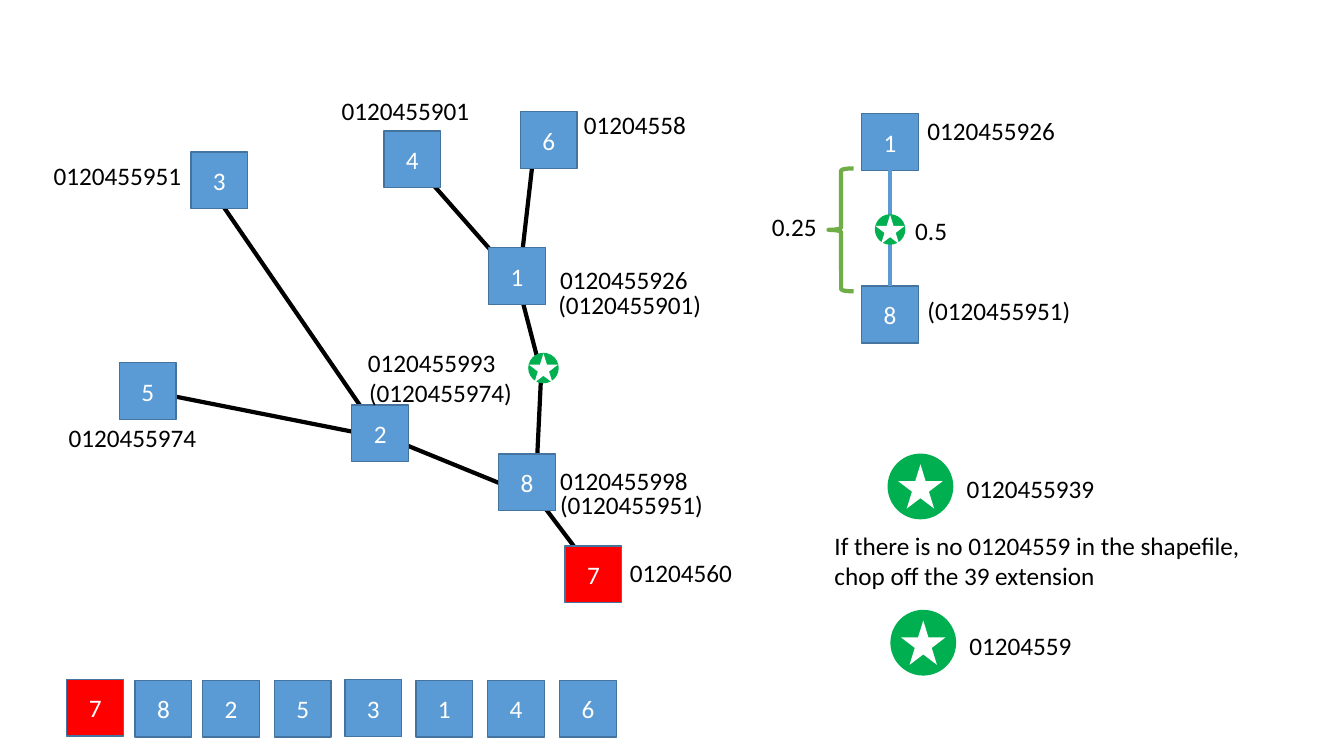
from lxml.etree import SubElement as Sub
from pptx import Presentation as Deck
from pptx.dml.color import RGBColor as Color
from pptx.enum.shapes import MSO_CONNECTOR as Link, MSO_SHAPE as Kind
from pptx.enum.text import MSO_ANCHOR as Anchor, PP_ALIGN as Align
from pptx.oxml.ns import qn
from pptx.util import Pt

BLUE = Color(0x5B, 0x9B, 0xD5)
EDGE = Color(0x43, 0x73, 0x9E)
RED = Color(0xFF, 0x00, 0x00)
GREEN = Color(0x00, 0xB0, 0x50)
OLIVE = Color(0x70, 0xAD, 0x47)
BLACK = Color(0, 0, 0)
WHITE = Color(0xFF, 0xFF, 0xFF)

SIDE = 40.5   # side of a numbered square
DOT = 21.8    # small star badge
BADGE = 47    # large star badge

# Branches of the river network
PATHS = [
    [(156.2, 142.6), (271.4, 310.3), (384.5, 356.4), (413.3, 394.6)],
    [(105.8, 279.4), (269.3, 311.8)],
    [(296.6, 117.4), (369.4, 200.2), (386.6, 266.4), (382.3, 356.4)],
    [(370.8, 200.2), (382.3, 100.1)],
]
NODES = [
    ("3", 136.4, 108.5), ("5", 85.3, 259), ("2", 251.3, 289.2),
    ("1", 349, 177), ("4", 274.2, 93.5), ("6", 371.7, 79.7),
    ("8", 356.2, 324.2), ("7", 403.6, 390),
]
# Order of the nodes along the bottom
ORDER = [
    ("7", 47.7, 485.2), ("8", 96.5, 486), ("2", 144.7, 486),
    ("5", 196, 486), ("3", 246.4, 485.5), ("1", 297, 486),
    ("4", 348.3, 486), ("6", 399.7, 486),
]
CODES = [
    ("01204560", 442.8, 394.8), ("(0120455974)", 256.5, 266.2),
    ("0120455998", 393, 329), ("0120455974", 42, 298.3),
    ("0120455951", 31.3, 111), ("0120455926", 393, 185.5),
    ("0120455901", 237, 64.4), ("01204558", 410, 74.6),
    ("0120455993", 255.6, 244.8), ("(0120455951)", 393, 345.8),
    ("(0120455901)", 391.7, 203), ("(0120455951)", 655.4, 207.2),
    ("0120455926", 655.4, 79),
]


def write(frame, text, color=BLACK, align=Align.LEFT, wrap=True):
    """Fill a text frame, one paragraph for each line of text."""
    frame.word_wrap = wrap
    frame.text = text
    for para in frame.paragraphs:
        para.alignment = align
        para.font.size = Pt(18)
        para.font.name = "Calibri"
        para.font.color.rgb = color


def label(to, text, x, y, width=135, height=29, wrap=True):
    box = to.add_textbox(Pt(x), Pt(y), Pt(width), Pt(height))
    write(box.text_frame, text, wrap=wrap)


def solid(to, kind, x, y, width, height, fill):
    item = to.add_shape(kind, Pt(x), Pt(y), Pt(width), Pt(height))
    item.shadow.inherit = False
    item.fill.solid()
    item.fill.fore_color.rgb = fill
    item.line.fill.background()
    return item


def stroke(item, color, width):
    item.line.color.rgb = color
    item.line.width = Pt(width)


def node(to, name, x, y):
    fill = RED if name == "7" else BLUE
    item = solid(to, Kind.RECTANGLE, x, y, SIDE, SIDE, fill)
    stroke(item, EDGE, 1)
    item.text_frame.vertical_anchor = Anchor.MIDDLE
    write(item.text_frame, name, color=WHITE, align=Align.CENTER)
    return item


def branch(to, points):
    start, *rest = [(Pt(x), Pt(y)) for x, y in points]
    pen = to.build_freeform(*start)
    pen.add_line_segments(rest, close=False)
    item = pen.convert_to_shape()
    item.shadow.inherit = False
    item.fill.background()
    stroke(item, BLACK, 3)


def badge(to, x, y, size, star):
    gap = (size - star) / 2
    solid(to, Kind.OVAL, x, y, size, size, GREEN)
    solid(to, Kind.STAR_5_POINT, x + gap, y + gap, star, star, WHITE)


def legend(to, code, x, y, width):
    part = to.add_group_shape().shapes
    badge(part, x, y, BADGE, 31.7)
    label(part, code, x + 49.3, y + 10.8, width=width, wrap=False)


def network(to):
    part = to.add_group_shape().shapes
    for points in PATHS:
        branch(part, points)
    for name, x, y in NODES:
        node(part, name, x, y)


def detail(to):
    """Link between nodes 1 and 8 with its midpoint."""
    low = node(to, "8", 615.5, 204.4)
    top = node(to, "1", 615.5, 81.2)
    link = to.add_connector(Link.STRAIGHT, 0, 0, 0, 0)
    link.begin_connect(top, 2)
    link.end_connect(low, 0)
    stroke(link, BLUE, 3)
    Sub(link.line._get_or_add_ln().getparent(), qn("a:effectLst"))
    badge(to, 624.9, 153, DOT, 20.9)
    label(to, "0.5", 646.6, 150.5, width=37.4, wrap=False)
    label(to, "0.25", 544.3, 147.6, width=46.8, wrap=False)
    brace = solid(to, Kind.LEFT_BRACE, 591.8, 120.3, 18, 87.8, WHITE)
    brace.fill.background()
    stroke(brace, OLIVE, 3)


def main():
    deck = Deck()
    deck.slide_width, deck.slide_height = Pt(960), Pt(540)
    shapes = deck.slides.add_slide(deck.slide_layouts[6]).shapes

    # Network, node order and codes
    network(shapes)
    for name, x, y in ORDER:
        node(shapes, name, x, y)
    for code, x, y in CODES:
        label(shapes, code, x, y)
    badge(shapes, 377.3, 252, DOT, 20.9)

    # Close-up of one link
    detail(shapes)

    # Code rule for the new site
    label(shapes, "If there is no 01204559 in the shapefile,\n"
          "chop off the 39 extension", 589, 375.1,
          width=307.4, height=51, wrap=False)
    legend(shapes, "01204559", 636, 435.6, 88.6)
    legend(shapes, "0120455939", 634, 324, 106.6)

    deck.save("out.pptx")


if __name__ == "__main__":
    main()
